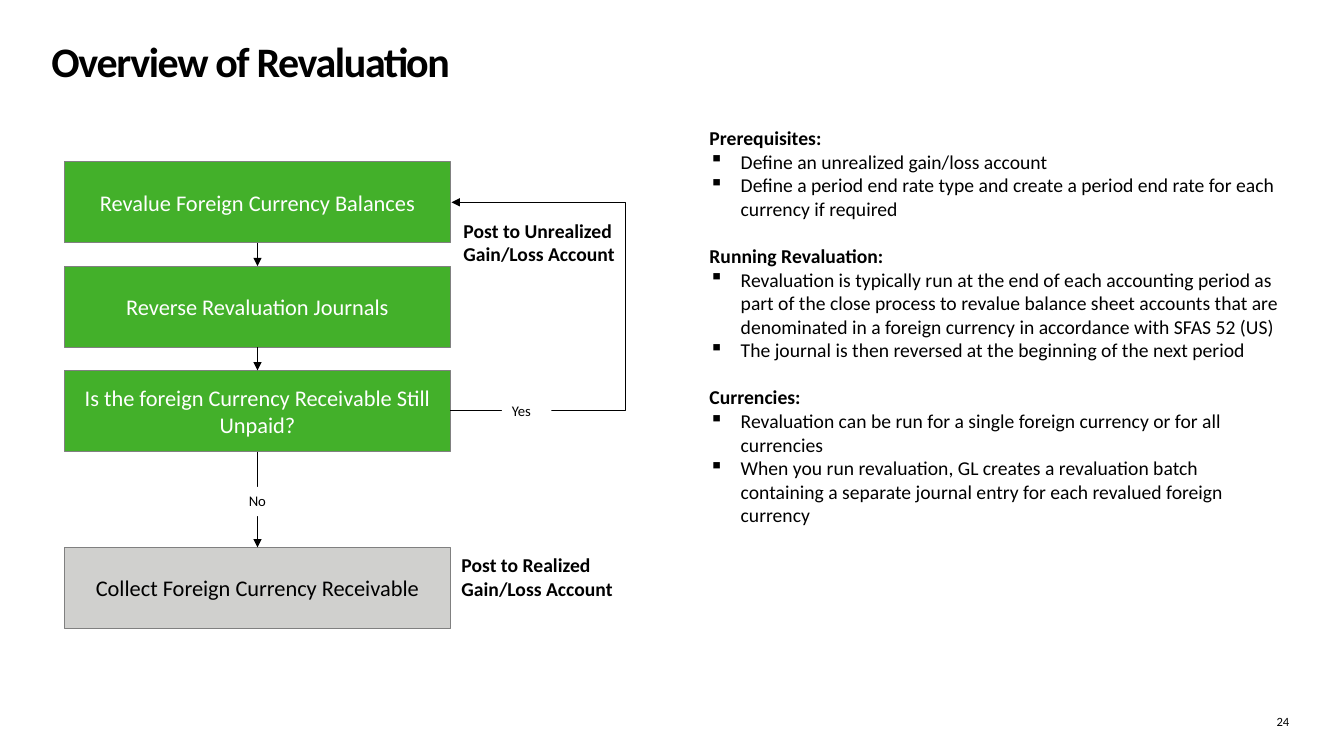
from dataclasses import dataclass

from lxml import etree
from pptx import Presentation, util as u
from pptx.dml.color import RGBColor
from pptx.enum import shapes as es, text as et
from pptx.oxml import ns


@dataclass(frozen=True)
class Theme:
    font: str = "Calibri"
    black: str = "000000"
    white: str = "FFFFFF"
    green: str = "43B02A"
    grey: str = "D0D0CE"
    border: str = "808080"
    title: float = 30
    step: float = 16
    body: float = 14
    label: float = 10.5
    number: float = 9
    section_gap: float = 17
    line: float = 0.75


@dataclass(frozen=True)
class Area:
    """A region in percent of the slide's width and height."""
    left: float
    top: float
    width: float
    height: float

    def lengths(self) -> tuple:
        return across(self.left), down(self.top), across(self.width), down(self.height)


@dataclass(frozen=True)
class Step:
    wording: str
    top: float
    fill: str
    color: str


@dataclass(frozen=True)
class Section:
    heading: str
    points: tuple


THEME = Theme()
WIDTH, HEIGHT = u.Inches(13.33), u.Inches(7.5)
STEP_LEFT, STEP_WIDTH, STEP_HEIGHT = 4.8, 28.72, 10.73
FIRST_TOP, STEP_PITCH = 21.4, 13.8
LOOP_START, LOOP_END, LOOP_TURN = 33.5, 33.6, 46.5

GREEN_STEPS = ("Revalue Foreign Currency Balances", "Reverse Revaluation Journals",
               "Is the foreign Currency Receivable Still Unpaid?")
STEPS = [Step(wording, FIRST_TOP + i * STEP_PITCH, THEME.green, THEME.white)
         for i, wording in enumerate(GREEN_STEPS)]
STEPS.append(Step("Collect Foreign Currency Receivable", 72.4, THEME.grey, THEME.black))

ANSWERS = {"No": Area(17.78, 64.4, 3.68, 3.87), "Yes": Area(37.35, 52.53, 3.68, 3.87)}
POSTINGS = {
    "Post to Realized Gain/Loss Account": Area(33.6, 72.53, 14.03, 7.6),
    "Post to Unrealized Gain/Loss Account": Area(33.75, 28.27, 13.88, 7.6),
}
SECTIONS = (
    Section("Prerequisites:", (
        "Define an unrealized gain/loss account",
        "Define a period end rate type and create a period end rate for each currency if required")),
    Section("Running Revaluation:", (
        "Revaluation is typically run at the end of each accounting period as part of the close "
        "process to revalue balance sheet accounts that are denominated in a foreign currency in "
        "accordance with SFAS 52 (US)",
        "The journal is then reversed at the beginning of the next period")),
    Section("Currencies:", (
        "Revaluation can be run for a single foreign currency or for all currencies",
        "When you run revaluation, GL creates a revaluation batch containing a separate journal "
        "entry for each revalued foreign currency")),
)


def across(share: float) -> int:
    return round(WIDTH * share / 100)


def down(share: float) -> int:
    return round(HEIGHT * share / 100)


def write(paragraph, wording: str, *, size: float, color: str = THEME.black, bold: bool = False,
          align=et.PP_ALIGN.LEFT, bullet: str = "", before: float = 0) -> None:
    """Fill one paragraph with formatted text."""
    paragraph.alignment = align
    paragraph.space_before = u.Pt(before)
    if bullet:
        properties = paragraph._p.get_or_add_pPr()
        indent = u.Inches(0.31)
        properties.set("marL", str(indent))
        properties.set("indent", str(-indent))
        etree.SubElement(properties, ns.qn("a:buChar")).set("char", bullet)
    run = paragraph.add_run()
    run.text = wording
    run.font.name = THEME.font
    run.font.size = u.Pt(size)
    run.font.bold = bold
    run.font.color.rgb = RGBColor.from_string(color)


def prepare(frame, anchor=et.MSO_ANCHOR.TOP, inset: bool = True) -> None:
    frame.word_wrap = True
    frame.auto_size = et.MSO_AUTO_SIZE.NONE
    frame.vertical_anchor = anchor
    if not inset:
        frame.margin_left = frame.margin_right = frame.margin_top = frame.margin_bottom = 0


def add_text(slide, area: Area, inset: bool = True):
    frame = slide.shapes.add_textbox(*area.lengths()).text_frame
    prepare(frame, inset=inset)
    return frame


def add_box(slide, area: Area, fill: str, border: str = "", anchor=et.MSO_ANCHOR.TOP):
    box = slide.shapes.add_shape(es.MSO_SHAPE.RECTANGLE, *area.lengths())
    box.shadow.inherit = False
    box.fill.solid()
    box.fill.fore_color.rgb = RGBColor.from_string(fill)
    if border:
        box.line.color.rgb = RGBColor.from_string(border)
        box.line.width = u.Pt(THEME.line)
    else:
        box.line.fill.background()
    prepare(box.text_frame, anchor)
    return box


def add_arrow(slide, kind, start: tuple, end: tuple):
    arrow = slide.shapes.add_connector(kind, across(start[0]), down(start[1]),
                                       across(end[0]), down(end[1]))
    arrow.line.color.rgb = RGBColor.from_string(THEME.black)
    arrow.line.width = u.Pt(THEME.line)
    etree.SubElement(arrow.line._get_or_add_ln(), ns.qn("a:tailEnd")).set("type", "triangle")
    etree.SubElement(arrow._element.spPr, ns.qn("a:effectLst"))
    return arrow


def add_title(slide) -> None:
    title = slide.shapes.title
    title.left, title.top, title.width, title.height = Area(3.83, 6, 92.33, 4.93).lengths()
    prepare(title.text_frame, inset=False)
    heading = title.text_frame.paragraphs[0]
    write(heading, "Overview of Revaluation", size=THEME.title, bold=True)
    heading.line_spacing = 0.8
    heading.runs[0].font._element.set("spc", "-100")


def add_flow(slide) -> None:
    # Steps
    boxes = []
    for step in STEPS:
        box = add_box(slide, Area(STEP_LEFT, step.top, STEP_WIDTH, STEP_HEIGHT), step.fill,
                      THEME.border, et.MSO_ANCHOR.MIDDLE)
        write(box.text_frame.paragraphs[0], step.wording, size=THEME.step, color=step.color,
              align=et.PP_ALIGN.CENTER)
        boxes.append(box)

    # Arrows from each step to the next
    for upper, lower in zip(boxes, boxes[1:]):
        arrow = add_arrow(slide, es.MSO_CONNECTOR.STRAIGHT, (0, 0), (0, 0))
        arrow.begin_connect(upper, 2)
        arrow.end_connect(lower, 0)

    # Loop back from the question to the first step
    loop = add_arrow(slide, es.MSO_CONNECTOR.ELBOW,
                     (LOOP_START, STEPS[2].top + STEP_HEIGHT / 2),
                     (LOOP_END, STEPS[0].top + STEP_HEIGHT / 2))
    turn = (LOOP_TURN - LOOP_START) / (LOOP_END - LOOP_START)
    guides = loop._element.spPr.find(ns.qn("a:prstGeom")).get_or_add_avLst()
    guide = etree.SubElement(guides, ns.qn("a:gd"))
    guide.set("name", "adj1")
    guide.set("fmla", f"val {round(turn * 100000)}")

    # Answers and postings
    for answer, area in ANSWERS.items():
        label = add_box(slide, area, THEME.white)
        write(label.text_frame.paragraphs[0], answer, size=THEME.label)
    for posting, area in POSTINGS.items():
        write(add_text(slide, area).paragraphs[0], posting, size=THEME.body, bold=True)


def add_notes_column(slide) -> None:
    frame = add_text(slide, Area(52.05, 16, 44.1, 62.67))
    for i, section in enumerate(SECTIONS):
        heading = frame.add_paragraph() if i else frame.paragraphs[0]
        write(heading, section.heading, size=THEME.body, bold=True,
              before=THEME.section_gap if i else 0)
        for point in section.points:
            write(frame.add_paragraph(), point, size=THEME.body, bullet="▪")


def main() -> None:
    deck = Presentation()
    deck.slide_width, deck.slide_height = WIDTH, HEIGHT
    slide = deck.slides.add_slide(deck.slide_layouts[5])
    add_title(slide)
    add_flow(slide)
    add_notes_column(slide)
    # Page number
    page = add_text(slide, Area(93.38, 94.4, 2.55, 2), inset=False)
    write(page.paragraphs[0], "24", size=THEME.number, align=et.PP_ALIGN.RIGHT)
    deck.save("out.pptx")


if __name__ == "__main__":
    main()
